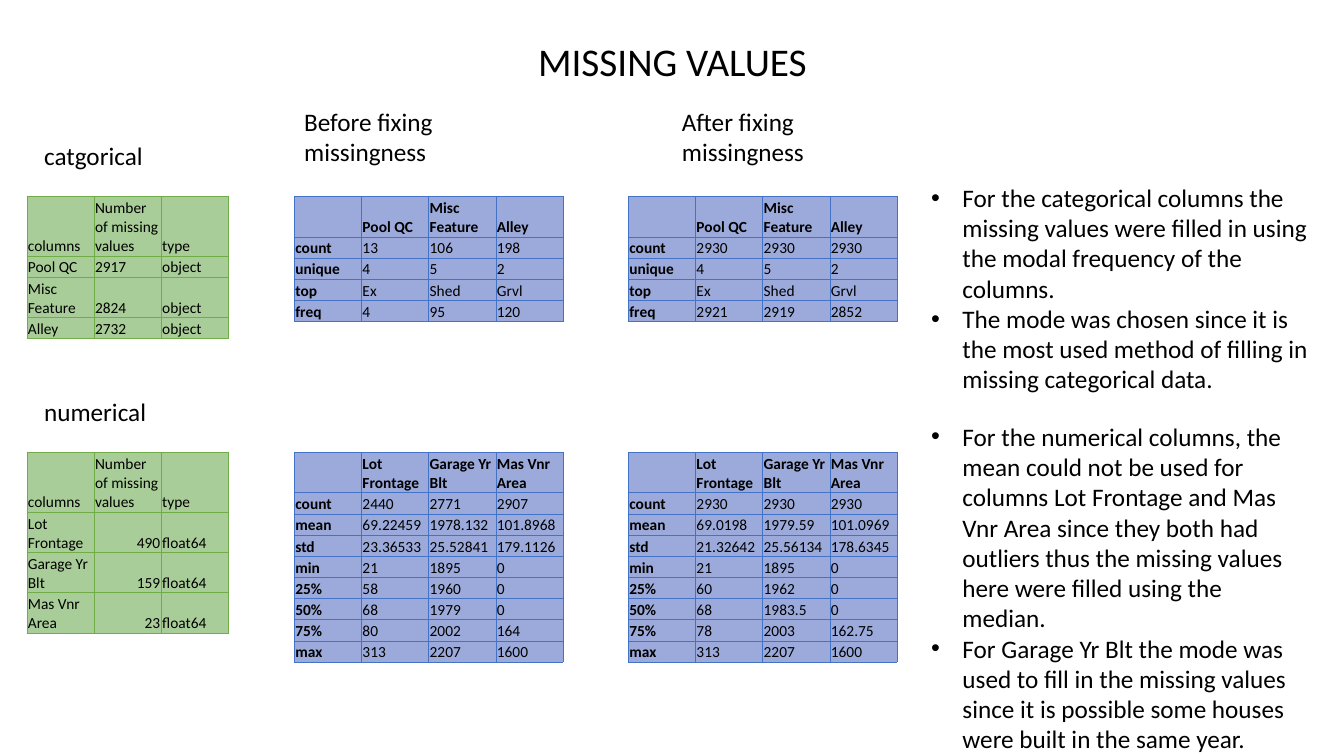
from math import ceil
from pptx import Presentation
from pptx.dml.color import RGBColor
from pptx.enum.text import MSO_ANCHOR, PP_ALIGN
from pptx.oxml.ns import qn
from pptx.util import Inches, Pt
from lxml import etree

WIDE, HIGH = 13.33, 7.5
COL, ROW = WIDE / 20, HIGH / 20
LEFT, RIGHT, CENTER = PP_ALIGN.LEFT, PP_ALIGN.RIGHT, PP_ALIGN.CENTER
TOP, MIDDLE, BOTTOM = MSO_ANCHOR.TOP, MSO_ANCHOR.MIDDLE, MSO_ANCHOR.BOTTOM
GREEN = {"fill": "A9CD98", "edge": "70AD47"}
BLUE = {"fill": "9BAADA", "edge": "4472C4"}
COUNT = "Number of missing values"
CELL = {"margin_left": Inches(0.01), "margin_right": Inches(0.01),
        "margin_top": Inches(0.01), "margin_bottom": 0,
        "vertical_anchor": BOTTOM}

CAT_COLS = ["Pool QC", "Misc Feature", "Alley"]
CAT_LOST = [["columns", COUNT, "type"]] + [
    [name, lost, "object"] for name, lost in zip(CAT_COLS, ["2917", "2824", "2732"])]
CAT_OLD = [
    ["", *CAT_COLS],
    ["count", "13", "106", "198"],
    ["unique", "4", "5", "2"],
    ["top", "Ex", "Shed", "Grvl"],
    ["freq", "4", "95", "120"],
]
CAT_NEW = [
    ["", *CAT_COLS],
    ["count", "2930", "2930", "2930"],
    ["unique", "4", "5", "2"],
    ["top", "Ex", "Shed", "Grvl"],
    ["freq", "2921", "2919", "2852"],
]
NUM_COLS = ["Lot Frontage", "Garage Yr Blt", "Mas Vnr Area"]
NUM_LOST = [["columns", COUNT, "type"]] + [
    [name, lost, "float64"] for name, lost in zip(NUM_COLS, ["490", "159", "23"])]
NUM_OLD = [
    ["", *NUM_COLS],
    ["count", "2440", "2771", "2907"],
    ["mean", "69.22459", "1978.132", "101.8968"],
    ["std", "23.36533", "25.52841", "179.1126"],
    ["min", "21", "1895", "0"],
    ["25%", "58", "1960", "0"],
    ["50%", "68", "1979", "0"],
    ["75%", "80", "2002", "164"],
    ["max", "313", "2207", "1600"],
]
NUM_NEW = [
    ["", *NUM_COLS],
    ["count", "2930", "2930", "2930"],
    ["mean", "69.0198", "1979.59", "101.0969"],
    ["std", "21.32642", "25.56134", "178.6345"],
    ["min", "21", "1895", "0"],
    ["25%", "60", "1962", "0"],
    ["50%", "68", "1983.5", "0"],
    ["75%", "78", "2003", "162.75"],
    ["max", "313", "2207", "1600"],
]
CAT_NOTES = [
    "For the categorical columns the missing values were filled in using the modal "
    "frequency of the columns.",
    "The mode was chosen since it is the most used method of filling in missing "
    "categorical data.",
]
NUM_NOTES = [
    "For the numerical columns, the mean could not be used for columns Lot Frontage "
    "and Mas Vnr Area since they both had outliers thus the missing values here were "
    "filled using the median.",
    "For Garage Yr Blt the mode was used to fill in the missing values since it is "
    "possible some houses were built in the same year.",
]


def tint(color, code):
    color.rgb = RGBColor.from_string(code)


def style(item, looks):
    for key, value in looks.items():
        setattr(item, key, value)


def write(para, text, size, bold=False):
    run = para.add_run()
    run.text = text
    style(run.font, {"name": "Calibri", "size": Pt(size), "bold": bold})
    tint(run.font.color, "000000")


def place(x, y, w, h):
    return [Inches(n) for n in (x * COL, y * ROW, w * COL, h * ROW)]


def draw_text(slide, box, lines, size=18, align=LEFT, anchor=TOP, space=1, dots=False):
    frame = slide.shapes.add_textbox(*place(*box)).text_frame
    style(frame, {"word_wrap": True, "vertical_anchor": anchor})
    for i, line in enumerate(lines):
        para = frame.add_paragraph() if i else frame.paragraphs[0]
        style(para, {"alignment": align, "line_spacing": space})
        write(para, line, size)
        if dots:
            props = para._p.get_or_add_pPr()
            props.set("marL", str(Inches(0.31)))
            props.set("indent", str(-Inches(0.31)))
            etree.SubElement(props, qn("a:buFont")).set("typeface", "Arial")
            etree.SubElement(props, qn("a:buChar")).set("char", "•")


def edge(cell, code):
    props = cell._tc.get_or_add_tcPr()
    for side in "LRTB":
        line = etree.SubElement(props, qn("a:ln" + side), w=str(Pt(0.5)))
        solid = etree.SubElement(line, qn("a:solidFill"))
        etree.SubElement(solid, qn("a:srgbClr"), val=code)


def draw_table(slide, x, y, data, look, heads=True, right=None):
    wide = len(data[0])
    tall = [max(1, *(ceil(len(text) / 8) for text in row)) * 0.19 + 0.02 for row in data]
    spot = place(x, y, wide, sum(tall) / ROW)
    table = slide.shapes.add_table(len(data), wide, *spot).table
    style(table, {"first_row": False, "horz_banding": False})
    for col in table.columns:
        col.width = Inches(COL)
    for r, row in enumerate(data):
        table.rows[r].height = Inches(tall[r])
        for c, text in enumerate(row):
            cell = table.cell(r, c)
            style(cell, CELL)
            edge(cell, look["edge"])
            cell.fill.solid()
            tint(cell.fill.fore_color, look["fill"])
            para = cell.text_frame.paragraphs[0]
            para.alignment = RIGHT if r and c == right else LEFT
            if text:
                write(para, text, 11, heads and (r == 0 or c == 0))


def draw_band(slide, y, name, lost, old, new, right=None):
    draw_text(slide, (0.51, y - 1.61, 2.58, 1.07), [name])
    draw_table(slide, 0.4, y, lost, GREEN, False, right)
    for x, data in ((4.38, old), (9.35, new)):
        draw_table(slide, x, y, data, BLUE)


def draw_heads(slide):
    draw_text(slide, (1.38, 1.07, 17.25, 1.25), ["MISSING VALUES"], 28, CENTER, MIDDLE, 0.9)
    draw_text(slide, (4.38, 2.67, 4, 1.89), ["Before fixing missingness"])
    draw_text(slide, (10, 2.67, 2.64, 1.89), ["After fixing missingness"])


def draw_notes(slide):
    draw_text(slide, (13.71, 4.69, 6.05, 5.92), CAT_NOTES, dots=True)
    draw_text(slide, (13.71, 11.01, 5.75, 8.99), NUM_NOTES, dots=True)


def main():
    deck = Presentation()
    style(deck, {"slide_width": Inches(WIDE), "slide_height": Inches(HIGH)})
    slide = deck.slides.add_slide(deck.slide_layouts[6])
    draw_heads(slide)
    draw_band(slide, 5.2, "catgorical", CAT_LOST, CAT_OLD, CAT_NEW)
    draw_band(slide, 11.97, "numerical", NUM_LOST, NUM_OLD, NUM_NEW, 1)
    draw_notes(slide)
    deck.save("out.pptx")


if __name__ == "__main__":
    main()
